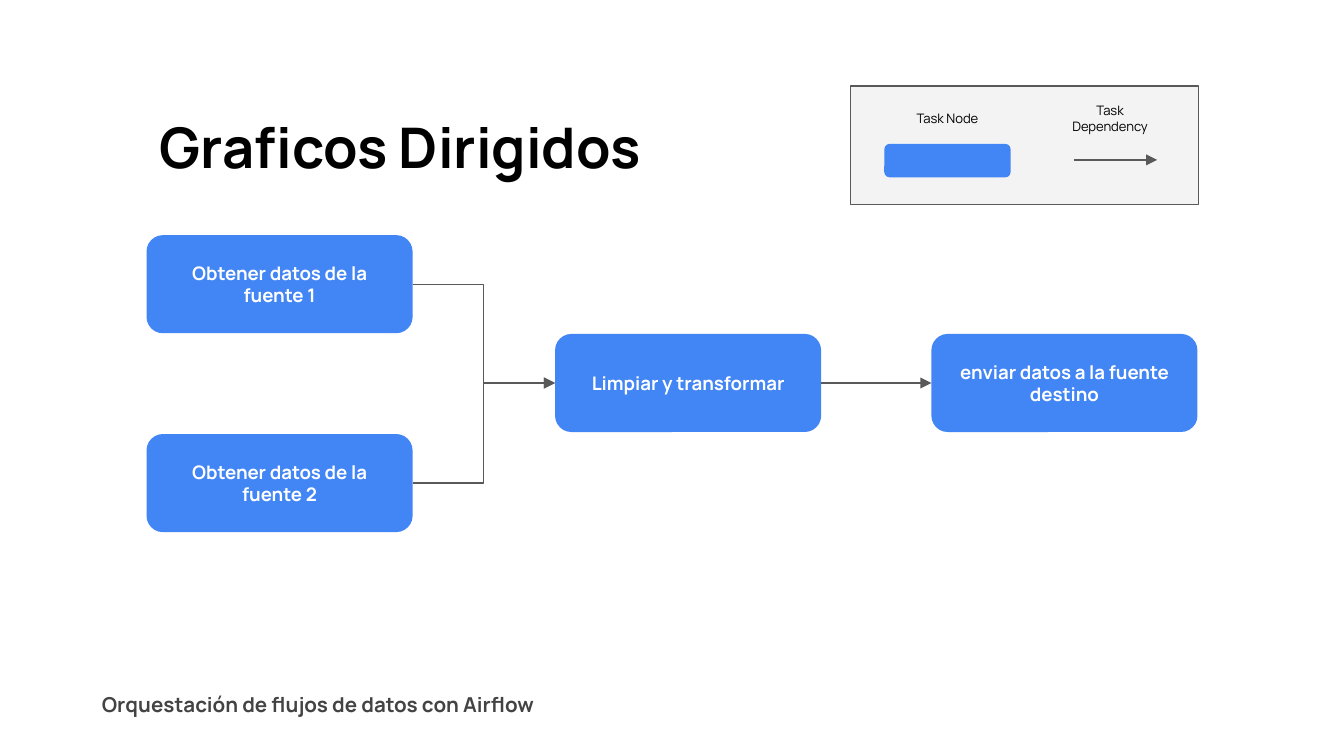
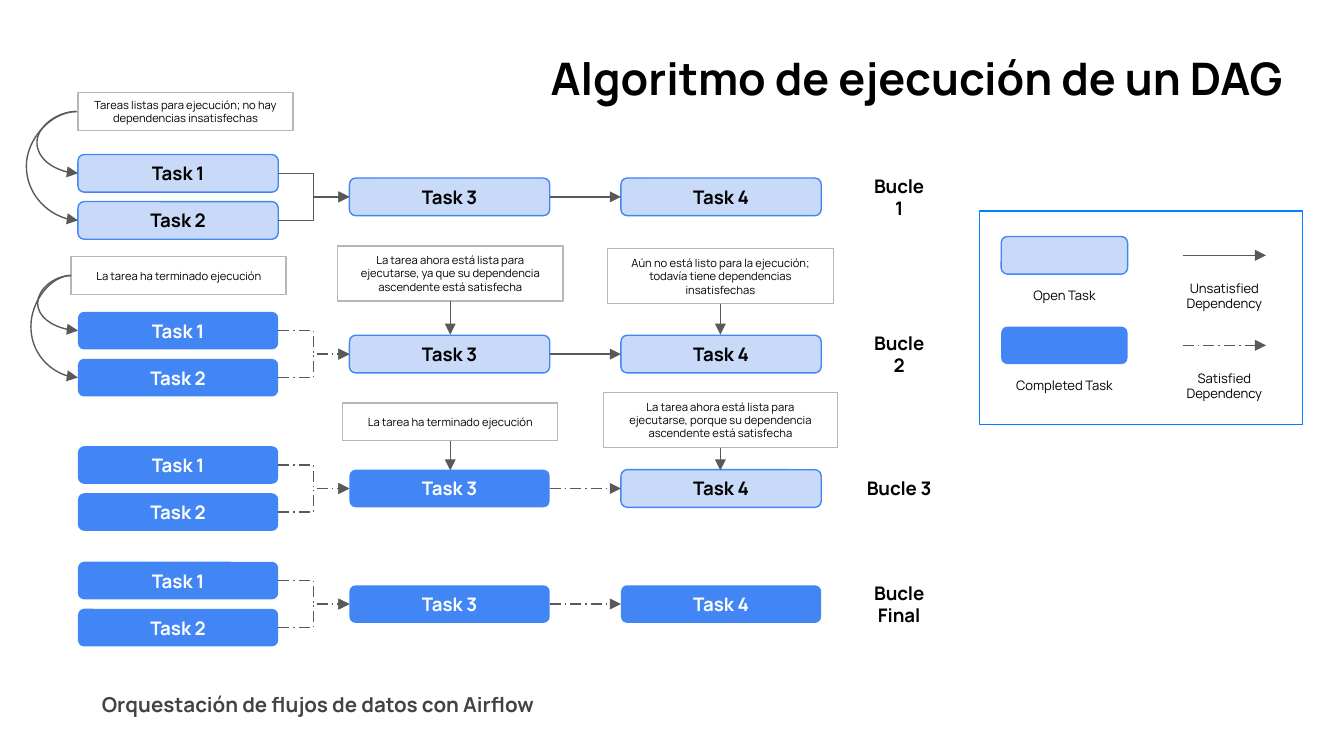
from dataclasses import dataclass

from lxml import etree
from pptx import Presentation
from pptx.dml.color import RGBColor
from pptx.enum.dml import MSO_LINE
from pptx.enum.shapes import MSO_CONNECTOR, MSO_SHAPE
from pptx.enum.text import MSO_ANCHOR, PP_ALIGN
from pptx.oxml.ns import qn
from pptx.util import Inches, Pt

RECT, ROUND = MSO_SHAPE.RECTANGLE, MSO_SHAPE.ROUNDED_RECTANGLE
STRAIGHT, BENT, CURVE = MSO_CONNECTOR.STRAIGHT, MSO_CONNECTOR.ELBOW, MSO_CONNECTOR.CURVE
DASH = MSO_LINE.LONG_DASH_DOT
TOP, MIDDLE = MSO_ANCHOR.TOP, MSO_ANCHOR.MIDDLE
LEFT, CENTER, RIGHT = PP_ALIGN.LEFT, PP_ALIGN.CENTER, PP_ALIGN.RIGHT


@dataclass(frozen=True)
class Theme:
    """Colours, font and type sizes of the deck."""
    font: str = "Manrope"
    blue: str = "4285F4"
    pale: str = "C9DAF8"
    frame: str = "007FFF"
    gray: str = "595959"
    edge: str = "B7B7B7"
    panel: str = "F3F3F3"
    foot: str = "434343"
    black: str = "000000"
    white: str = "FFFFFF"
    title: int = 30
    title2: int = 24
    footer: int = 11
    task: int = 10
    key: int = 7
    note: int = 6
    line: float = 0.75


T = Theme()
FOOTER = "Orquestación de flujos de datos con Airflow"
DONE = "La tarea ha terminado ejecución"


def write(shape, text, size, color=T.black, bold=False, align=CENTER, anchor=MIDDLE):
    """Put one styled paragraph in a shape."""
    frame = shape.text_frame
    inset = Inches(0.1)
    look = {"word_wrap": True, "vertical_anchor": anchor, "margin_left": inset,
            "margin_right": inset, "margin_top": inset, "margin_bottom": inset}
    for name, value in look.items():
        setattr(frame, name, value)
    par = frame.paragraphs[0]
    par.alignment = align
    run = par.add_run()
    run.text = text
    for name, value in {"name": T.font, "size": Pt(size), "bold": bold}.items():
        setattr(run.font, name, value)
    run.font.color.rgb = RGBColor.from_string(color)


def label(slide, at, text, size, **style):
    """Add a text box."""
    write(slide.shapes.add_textbox(*map(Inches, at)), text, size, **style)


def box(slide, kind, at, fill=None, line=None):
    """Add a flat shape."""
    shape = slide.shapes.add_shape(kind, *map(Inches, at))
    shape.shadow.inherit = False
    if fill:
        shape.fill.solid()
        shape.fill.fore_color.rgb = RGBColor.from_string(fill)
    else:
        shape.fill.background()
    if line:
        shape.line.color.rgb = RGBColor.from_string(line)
        shape.line.width = Pt(T.line)
    else:
        shape.line.fill.background()
    return shape


def node(slide, at, text="", done=True):
    """Add a task node, solid once it is done."""
    shape = box(slide, ROUND, at, T.blue if done else T.pale, None if done else T.blue)
    if text:
        write(shape, text, T.task, T.white if done else T.black, True)


def note(slide, at, text):
    """Add a thin framed remark."""
    write(box(slide, RECT, at, line=T.edge), text, T.note)


def arrow(slide, start, end, kind=STRAIGHT, dash=False, bend=None):
    """Add an arrow, its turn placed at x = bend if given."""
    link = slide.shapes.add_connector(kind, *map(Inches, (*start, *end)))
    link.line.color.rgb = RGBColor.from_string(T.gray)
    link.line.width = Pt(T.line)
    if dash:
        link.line.dash_style = DASH
    etree.SubElement(link.line._get_or_add_ln(), qn("a:tailEnd"), type="triangle")
    props = link._element.spPr
    etree.SubElement(props, qn("a:effectLst"))
    if bend is not None:
        ratio = round((bend - start[0]) / (end[0] - start[0]) * 100000)
        guides = props.find(qn("a:prstGeom")).get_or_add_avLst()
        etree.SubElement(guides, qn("a:gd"), name="adj1", fmla=f"val {ratio}")


def footer(slide):
    """Add the shared footer."""
    label(slide, (0.66, 5.06, 3.66, 0.39), FOOTER, T.footer,
          color=T.foot, bold=True, align=LEFT, anchor=TOP)


def graph(slide):
    """Draw the directed graph slide."""
    label(slide, (1.09, 0.55, 4.4, 1.07), "Graficos Dirigidos", T.title,
          bold=True, align=LEFT)
    box(slide, RECT, (6.33, 0.64, 2.59, 0.88), T.panel, T.gray)
    node(slide, (6.58, 1.07, 0.94, 0.25))
    arrow(slide, (7.99, 1.19), (8.61, 1.19))
    for x, text in ((6.58, "Task Node"), (7.79, "Task Dependency")):
        label(slide, (x, 0.77, 0.94, 0.22), text, T.key)

    wide, high = 1.98, 0.73
    first, clean, send, mid = 1.09, 4.13, 6.93, 2.85
    for num, y in ((1, 1.75), (2, 3.23)):
        node(slide, (first, y, wide, high), f"Obtener datos de la fuente {num}")
        arrow(slide, (first + wide, y + high / 2), (clean, mid), BENT)
    for x, text in ((clean, "Limpiar y transformar"),
                    (send, "enviar datos a la fuente destino")):
        node(slide, (x, mid - high / 2, wide, high), text)
    arrow(slide, (clean + wide, mid), (send, mid), BENT)
    footer(slide)


def loop(slide, top, count, name, span):
    """Draw one loop whose first count tasks are done."""
    wide, high, step = 1.49, 0.28, 0.35
    left, third, fourth = 0.58, 2.6, 4.62
    mid = top + (step + high) / 2
    spots = ((left, top), (left, top + step), (third, mid - high / 2),
             (fourth, mid - high / 2))
    for num, (x, y) in enumerate(spots, 1):
        node(slide, (x, y, wide, high), f"Task {num}", num <= count)
    for x, y in spots[:2]:
        arrow(slide, (x + wide, y + high / 2), (third, mid), BENT, count >= 2)
    arrow(slide, (third + wide, mid), (fourth, mid), BENT, count >= 3)
    label(slide, (6.69 - span / 2, mid - 0.16, span, 0.32), name, T.task, bold=True)


def legend(slide):
    """Draw the key of tasks and links."""
    box(slide, RECT, (7.29, 1.57, 2.4, 1.59), T.white, T.frame)
    rows = ((1.76, "Open Task", "Unsatisfied Dependency", False),
            (2.43, "Completed Task", "Satisfied Dependency", True))
    for y, task, link, done in rows:
        node(slide, (7.45, y, 0.94, 0.28), done=done)
        arrow(slide, (8.8, y + 0.14), (9.42, y + 0.14), dash=done)
        for x, text in ((7.45, task), (8.64, link)):
            label(slide, (x, y + 0.28, 0.94, 0.32), text, T.key)


def steps(slide):
    """Draw the run of a graph, loop by loop."""
    label(slide, (2.6, 0.28, 7.04, 1.34), "Algoritmo de ejecución de un DAG", T.title2,
          bold=True, align=RIGHT, anchor=TOP)
    rows = ((1.15, 0, "Bucle 1", 0.6), (2.32, 2, "Bucle 2", 0.62),
            (3.32, 3, "Bucle 3", 0.7), (4.18, 4, "Bucle Final", 0.68))
    for row in rows:
        loop(slide, *row)

    heads = (
        ((0.58, 0.69, 1.6, 0.28),
         "Tareas listas para ejecución; no hay dependencias insatisfechas"),
        ((0.53, 1.91, 1.6, 0.28), DONE),
        ((2.51, 1.83, 1.68, 0.41), "La tarea ahora está lista para ejecutarse, "
         "ya que su dependencia ascendente está satisfecha"),
        ((4.52, 1.85, 1.68, 0.41), "Aún no está listo para la ejecución; "
         "todavía tiene dependencias insatisfechas"),
        ((2.55, 3, 1.6, 0.28), DONE),
        ((4.49, 2.92, 1.74, 0.41), "La tarea ahora está lista para ejecutarse, "
         "porque su dependencia ascendente está satisfecha"))
    for at, text in heads:
        note(slide, at, text)
    for x, y, end in ((3.35, 2.24, 2.49), (5.36, 2.26, 2.49),
                      (3.35, 3.28, 3.5), (5.36, 3.33, 3.5)):
        arrow(slide, (x, y), (x, end))
    for x, y, end, bend in ((0.57, 0.83, 1.29, 0.27), (0.57, 0.83, 1.64, 0.19),
                            (0.53, 2.05, 2.46, 0.28), (0.53, 2.05, 2.81, 0.23)):
        arrow(slide, (x, y), (0.58, end), CURVE, bend=bend)
    legend(slide)
    footer(slide)


def main():
    """Build and save the deck."""
    deck = Presentation()
    deck.slide_width = Inches(10)
    deck.slide_height = deck.slide_width * 9 // 16
    for draw in (graph, steps):
        draw(deck.slides.add_slide(deck.slide_layouts[6]))
    deck.save("out.pptx")


if __name__ == "__main__":
    main()
